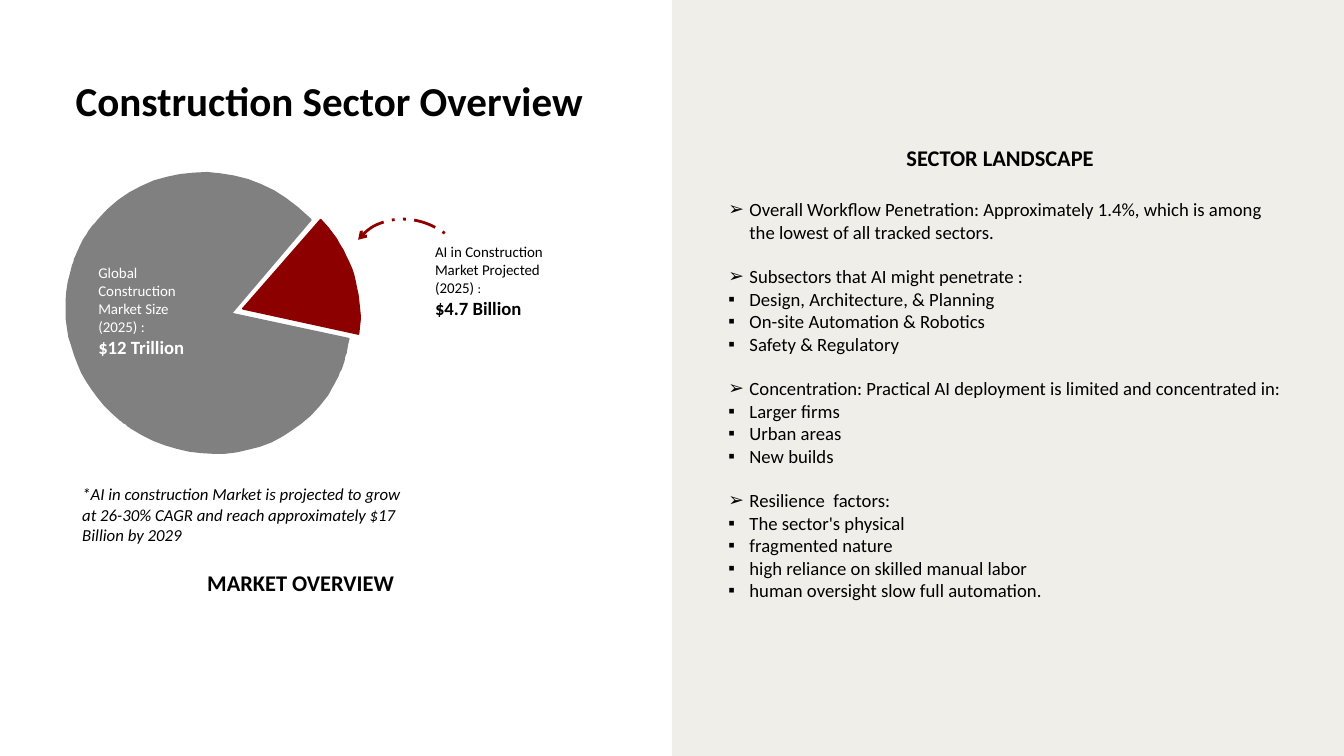
from dataclasses import dataclass
from typing import NamedTuple

from lxml.etree import SubElement
from pptx import Presentation
from pptx.dml.color import RGBColor
from pptx.enum.dml import MSO_LINE_DASH_STYLE as Dash
from pptx.enum.shapes import MSO_SHAPE as Preset
from pptx.enum.text import MSO_ANCHOR as Anchor, MSO_AUTO_SIZE as AutoSize, PP_ALIGN as Align
from pptx.oxml.ns import qn
from pptx.util import Pt

PX = 9525


@dataclass(frozen=True)
class Theme:
    font: str = "Calibri"
    ink: str = "000000"
    white: str = "FFFFFF"
    panel: str = "EFEEE9"
    market: str = "808080"
    accent: str = "8D0000"
    title: int = 44
    heading: int = 24
    body: int = 20
    note: int = 18
    label: int = 16
    small: int = 14


THEME = Theme()


class Area(NamedTuple):
    left: int
    top: int
    width: int
    height: int


class Span(NamedTuple):
    text: str
    size: int
    bold: bool = False
    italic: bool = False


class Curve(NamedTuple):
    first: tuple
    second: tuple
    end: tuple


class Slice(NamedTuple):
    color: str
    start: tuple
    steps: list


class Label(NamedTuple):
    area: Area
    lines: list
    color: str = THEME.ink
    inset: bool = True


class Topic(NamedTuple):
    heading: str
    points: list


SLICES = [
    Slice(THEME.market, (444, 314), [
        (330, 448), (498, 484), (496, 492),
        Curve((491, 523), (477, 554), (455, 580)),
        Curve((394, 652), (288, 667), (204, 621)),
        (187, 611),
        Curve((181, 607), (176, 602), (170, 598)),
        Curve((110, 547), (85, 472), (98, 403)),
        (103, 384),
        Curve((109, 359), (122, 336), (140, 315)),
        Curve((210, 232), (338, 224), (425, 297)),
    ]),
    Slice(THEME.accent, (458, 314), [
        (468, 325),
        Curve((502, 367), (517, 418), (513, 467)),
        (512, 477), (347, 441),
    ]),
]

LABELS = [
    Label(Area(131, 372, 153, 145), [
        [Span("Global Construction", THEME.label)],
        [Span("Market Size (2025) :", THEME.label)],
        [Span("$12 Trillion", THEME.body, bold=True)],
    ], THEME.white),
    Label(Area(612, 342, 190, 120), [
        [Span("AI in Construction Market Projected (2025) ", THEME.label), Span(":", THEME.small)],
        [Span("$4.7 Billion", THEME.body, bold=True)],
    ]),
    Label(Area(108, 687, 482, 97), [
        [Span("*AI in construction Market is projected to grow at 26-30% CAGR "
              "and reach approximately $17 Billion by 2029", THEME.note, italic=True)],
    ]),
    Label(Area(296, 813, 283, 38), [[Span("MARKET OVERVIEW", THEME.heading, bold=True)]], inset=False),
    Label(Area(1295, 206, 283, 38), [[Span("SECTOR LANDSCAPE", THEME.heading, bold=True)]], inset=False),
]

TOPICS = [
    Topic("Overall Workflow Penetration: Approximately 1.4%, which is among "
          "the lowest of all tracked sectors.", []),
    Topic("Subsectors that AI might penetrate :",
          ["Design, Architecture, & Planning", "On-site Automation & Robotics", "Safety & Regulatory"]),
    Topic("Concentration: Practical AI deployment is limited and concentrated in:",
          ["Larger firms", "Urban areas", "New builds"]),
    Topic("Resilience  factors:",
          ["The sector's physical", "fragmented nature", "high reliance on skilled manual labor",
           "human oversight slow full automation."]),
]


def color_of(value: str) -> RGBColor:
    return RGBColor.from_string(value)


def place(box, area: Area) -> None:
    box.left, box.top, box.width, box.height = (value * PX for value in area)


def add_span(para, text: str, *, size: int, color: str = THEME.ink,
             bold: bool = False, italic: bool = False) -> None:
    span = para.add_run()
    span.text = text
    font = span.font
    font.name, font.size, font.bold, font.italic = THEME.font, Pt(size), bold, italic
    font.color.rgb = color_of(color)


def prepare_frame(box, inset: bool = True):
    frame = box.text_frame
    frame.word_wrap = True
    frame.auto_size = AutoSize.NONE
    frame.vertical_anchor = Anchor.TOP
    if not inset:
        frame.margin_left = frame.margin_top = frame.margin_right = frame.margin_bottom = 0
    return frame


def next_para(frame, index: int):
    para = frame.add_paragraph() if index else frame.paragraphs[0]
    para.alignment = Align.LEFT
    return para


def add_label(page, label: Label) -> None:
    box = page.shapes.add_textbox(*(value * PX for value in label.area))
    frame = prepare_frame(box, label.inset)
    for index, line in enumerate(label.lines):
        para = next_para(frame, index)
        for span in line:
            add_span(para, span.text, size=span.size, color=label.color,
                     bold=span.bold, italic=span.italic)


def curve_points(start: tuple, curve: Curve, count: int = 16) -> list:
    points = []
    for step in range(1, count + 1):
        t = step / count
        weights = ((1 - t) ** 3, 3 * t * (1 - t) ** 2, 3 * t * t * (1 - t), t ** 3)
        points.append(tuple(sum(weight * point[axis] for weight, point in zip(weights, (start, *curve)))
                            for axis in (0, 1)))
    return points


def add_slice(page, part: Slice) -> None:
    outline = [part.start]
    for step in part.steps:
        outline += curve_points(outline[-1], step) if isinstance(step, Curve) else [step]
    builder = page.shapes.build_freeform(*outline[0], scale=PX)
    builder.add_line_segments(outline[1:], close=True)
    shape = builder.convert_to_shape()
    shape.shadow.inherit = False
    shape.fill.solid()
    shape.fill.fore_color.rgb = shape.line.color.rgb = color_of(part.color)
    shape.line.width = Pt(2)


def add_arrow(page, area: Area, rotation: int) -> None:
    arc = page.shapes.add_shape(Preset.ARC, *(value * PX for value in area))
    arc.rotation = rotation
    arc.shadow.inherit = False
    arc.fill.background()
    arc.line.color.rgb = color_of(THEME.accent)
    arc.line.width = Pt(3)
    arc.line.dash_style = Dash.DASH_DOT_DOT
    SubElement(arc.element.spPr.find(qn("a:ln")), qn("a:headEnd"), type="arrow")


def add_panel(page, area: Area) -> None:
    panel = page.shapes.add_shape(Preset.RECTANGLE, *(value * PX for value in area))
    panel.shadow.inherit = False
    panel.fill.solid()
    panel.fill.fore_color.rgb = color_of(THEME.panel)
    panel.line.fill.background()
    page.shapes.title.element.addprevious(panel.element)


def fill_topics(box, topics: list) -> None:
    frame = prepare_frame(box)
    lines = [(mark, text) for topic in topics
             for mark, text in [("➢", topic.heading)] + [("▪", point) for point in topic.points]]
    for index, (mark, text) in enumerate(lines):
        para = next_para(frame, index)
        para.space_before = Pt(24 if index and mark == "➢" else 0)
        properties = para._p.get_or_add_pPr()
        properties.set("marL", str(30 * PX))
        properties.set("indent", str(-30 * PX))
        SubElement(SubElement(properties, qn("a:buClr")), qn("a:srgbClr"), val=THEME.ink)
        SubElement(properties, qn("a:buChar"), char=mark)
        add_span(para, text, size=THEME.body)


def main() -> None:
    deck = Presentation()
    deck.slide_width, deck.slide_height = 1920 * PX, 1080 * PX
    page = deck.slides.add_slide(deck.slide_layouts[1])
    add_panel(page, Area(960, 0, 960, 1080))

    title = page.shapes.title
    place(title, Area(108, 108, 957, 71))
    para = next_para(prepare_frame(title, inset=False), 0)
    add_span(para, "Construction Sector Overview", size=THEME.title, bold=True)

    body = page.placeholders[1]
    place(body, Area(1031, 278, 821, 624))
    fill_topics(body, TOPICS)

    for part in SLICES:
        add_slice(page, part)
    add_arrow(page, Area(503, 306, 167, 190), 308)
    for label in LABELS:
        add_label(page, label)
    deck.save("out.pptx")


if __name__ == "__main__":
    main()
